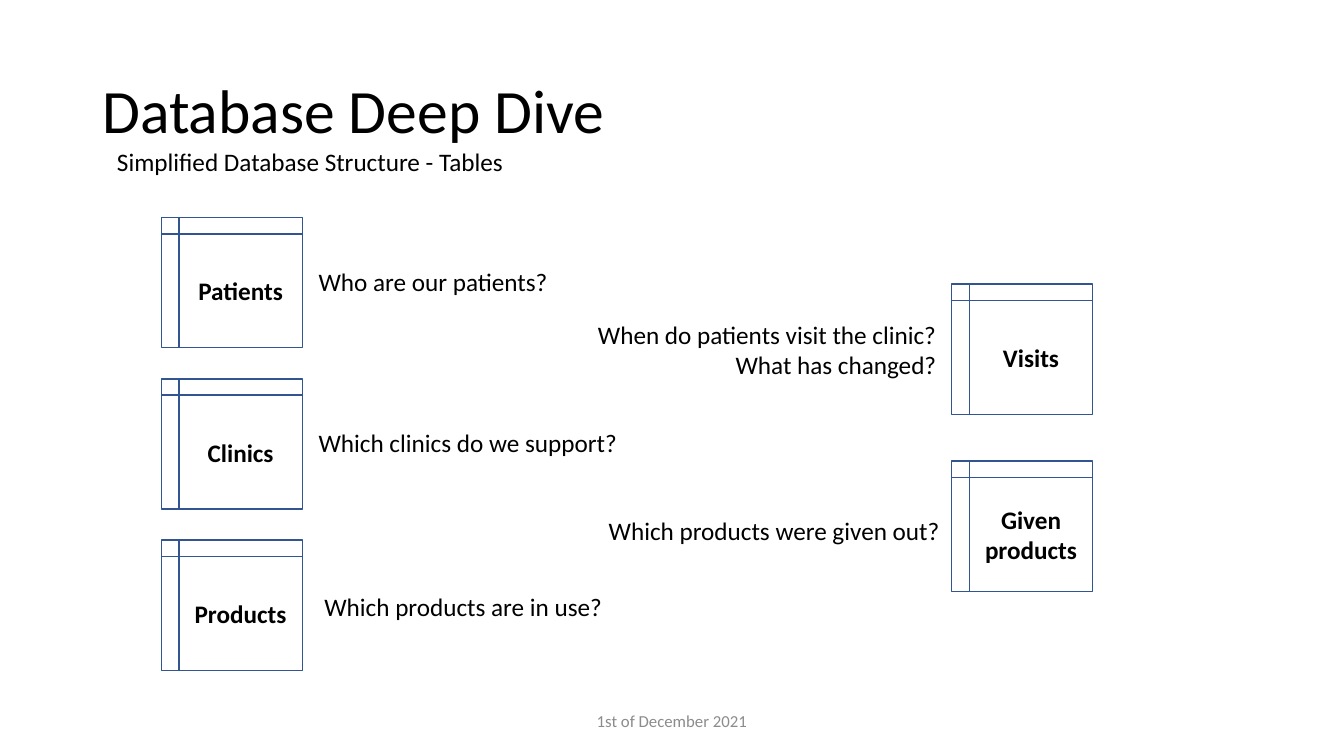
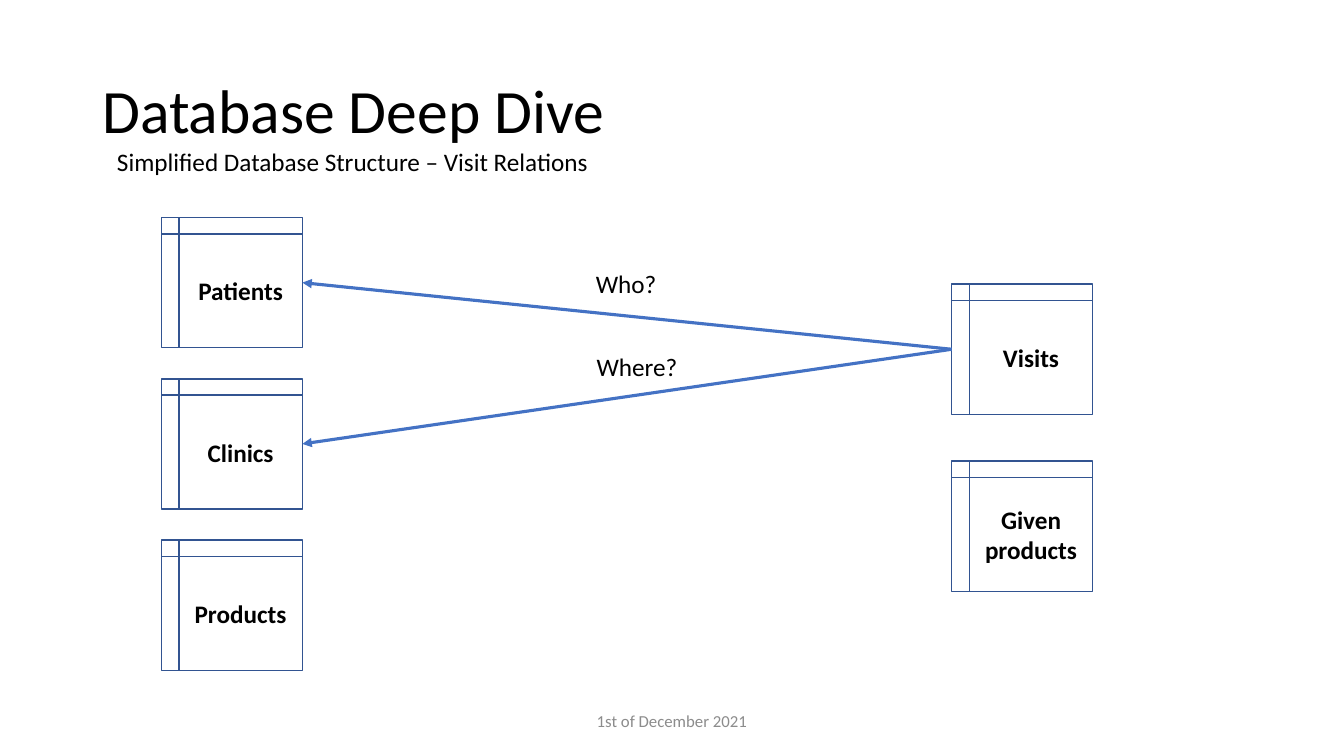
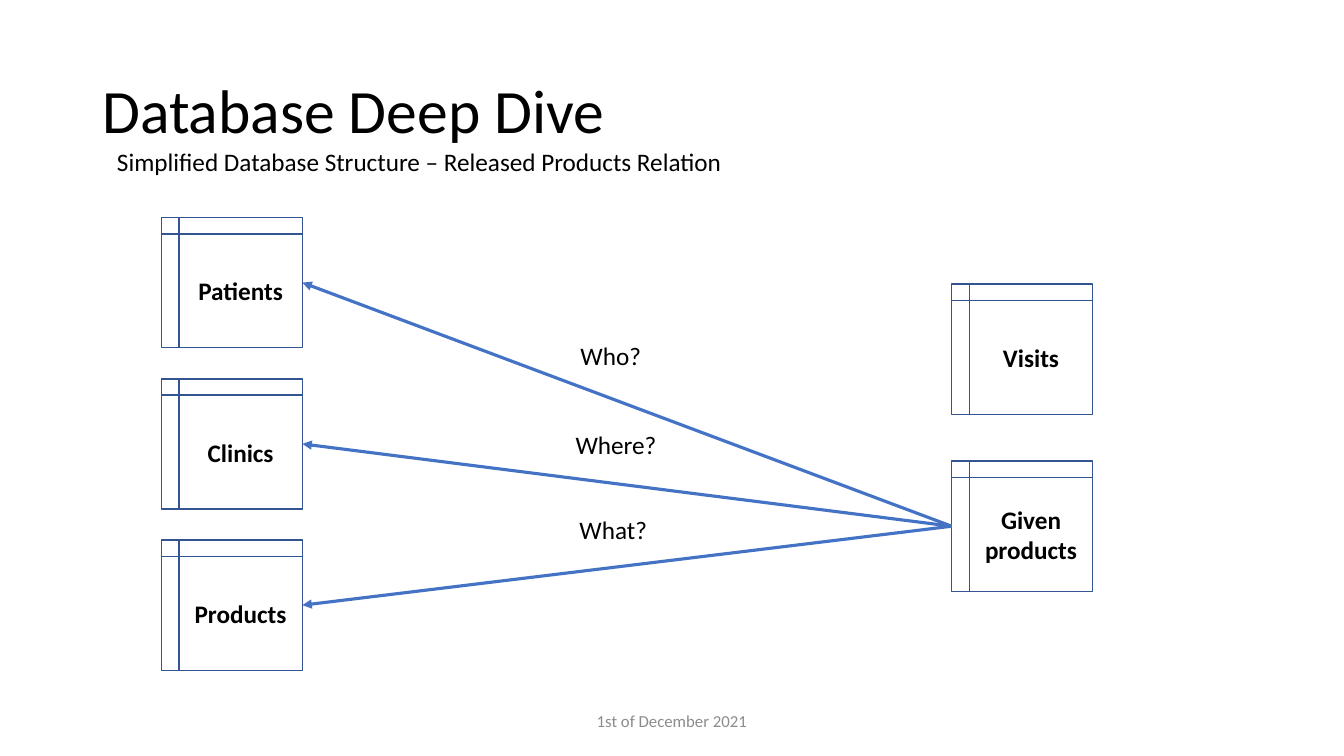
from dataclasses import dataclass

import pptx
import pptx.dml.color
import pptx.enum.shapes
import pptx.enum.text
import pptx.oxml.xmlchemy
import pptx.util

Pt = pptx.util.Pt
Align = pptx.enum.text.PP_ALIGN
Anchor = pptx.enum.text.MSO_ANCHOR


@dataclass(frozen=True)
class Theme:
    font: str = "Calibri"
    ink: str = "000000"
    muted: str = "8C8C8C"
    paper: str = "FFFFFF"
    outline: str = "325491"
    arrow: str = "4472C4"
    title_size: float = 44
    body_size: float = 18
    footer_size: float = 12
    outline_width: float = 1
    arrow_width: float = 2.25


THEME = Theme()

# Shared grid, in points
TABLE_WIDTH, TABLE_HEIGHT = 100.8, 93
LEFT_COLUMN, RIGHT_COLUMN = 115.2, 679.8
LEFT_TOP, LEFT_STEP = 155.4, 115.2
RIGHT_TOP, RIGHT_STEP = 203, 126.4
LINE_HEIGHT = 29
LEFT_SITE, RIGHT_SITE = 1, 3

LEFT_TABLES = ["Patients", "Clinics", "Products"]
RIGHT_TABLES = ["Visits", "Given products"]


def color(value):
    return pptx.dml.color.RGBColor.from_string(value)


# Text
def write(paragraph, text, size=THEME.body_size, ink=THEME.ink, bold=False,
          align=Align.LEFT):
    paragraph.alignment = align
    run = paragraph.add_run()
    run.text = text
    run.font.name = THEME.font
    run.font.size = Pt(size)
    run.font.bold = bold
    run.font.color.rgb = color(ink)


def add_area(slide, left, top, width, height):
    """Add a wrapping, vertically centred text box; return its paragraph."""
    box = slide.shapes.add_textbox(Pt(left), Pt(top), Pt(width), Pt(height))
    box.text_frame.word_wrap = True
    box.text_frame.vertical_anchor = Anchor.MIDDLE
    return box.text_frame.paragraphs[0]


def add_label(slide, text, left, top, width):
    """Add a label that fits its text; lines after the first align right."""
    lines = text.split("\n")
    height = LINE_HEIGHT + 22 * (len(lines) - 1)
    box = slide.shapes.add_textbox(Pt(left), Pt(top), Pt(width), Pt(height))
    frame = box.text_frame
    frame.word_wrap = False
    frame.auto_size = pptx.enum.text.MSO_AUTO_SIZE.SHAPE_TO_FIT_TEXT
    write(frame.paragraphs[0], lines[0])
    for line in lines[1:]:
        write(frame.add_paragraph(), line, align=Align.RIGHT)


# Diagram parts
def add_database_table(slide, name, left, top):
    shape = slide.shapes.add_shape(
        pptx.enum.shapes.MSO_SHAPE.FLOWCHART_INTERNAL_STORAGE,
        Pt(left), Pt(top), Pt(TABLE_WIDTH), Pt(TABLE_HEIGHT))
    shape.shadow.inherit = False
    shape.fill.solid()
    shape.fill.fore_color.rgb = color(THEME.paper)
    shape.line.color.rgb = color(THEME.outline)
    shape.line.width = Pt(THEME.outline_width)
    shape.text_frame.word_wrap = True
    shape.text_frame.vertical_anchor = Anchor.MIDDLE
    write(shape.text_frame.paragraphs[0], name, bold=True, align=Align.CENTER)
    return shape


def add_relation(slide, source, target):
    connector = slide.shapes.add_connector(
        pptx.enum.shapes.MSO_CONNECTOR.STRAIGHT, 0, 0, 0, 0)
    connector.begin_connect(source, LEFT_SITE)
    connector.end_connect(target, RIGHT_SITE)
    connector.line.color.rgb = color(THEME.arrow)
    connector.line.width = Pt(THEME.arrow_width)
    # Arrowhead and no shadow
    new_element = pptx.oxml.xmlchemy.OxmlElement
    line = connector.line._get_or_add_ln()
    tail = new_element("a:tailEnd")
    tail.set("type", "triangle")
    line.append(tail)
    line.addnext(new_element("a:effectLst"))


# Frame shared by all slides
def add_structure_slide(presentation, subtitle, subtitle_width):
    """Add title, footer, subtitle and tables; return the tables by name."""
    slide = presentation.slides.add_slide(presentation.slide_layouts[6])
    title = add_area(slide, 66, 28.8, 828, 104.4)
    title.line_spacing = 0.9
    write(title, "Database Deep Dive", THEME.title_size)
    write(add_area(slide, 318, 500.5, 324, 28.8), "1st of December 2021",
          THEME.footer_size, THEME.muted, align=Align.CENTER)
    add_label(slide, "Simplified Database Structure " + subtitle,
              76.5, 100.8, subtitle_width)
    tables = {}
    for names, left, top, step in (
            (LEFT_TABLES, LEFT_COLUMN, LEFT_TOP, LEFT_STEP),
            (RIGHT_TABLES, RIGHT_COLUMN, RIGHT_TOP, RIGHT_STEP)):
        for row, name in enumerate(names):
            tables[name] = add_database_table(slide, name, left, top + row * step)
    return slide, tables


def add_questions_slide(presentation, subtitle, subtitle_width, questions):
    slide, _ = add_structure_slide(presentation, subtitle, subtitle_width)
    for question in questions:
        add_label(slide, *question)


def add_relations_slide(presentation, subtitle, subtitle_width, source, relations):
    slide, tables = add_structure_slide(presentation, subtitle, subtitle_width)
    for target, *label in relations:
        add_relation(slide, tables[source], tables[target])
        add_label(slide, *label)


def main():
    presentation = pptx.Presentation()
    presentation.slide_width = Pt(960)
    presentation.slide_height = Pt(540)

    # Labels: text, left, top, width
    add_questions_slide(presentation, "- Tables", 294, [
        ("Who are our patients?", 220.5, 186.5, 180),
        ("Which clinics do we support?", 220.5, 301.7, 230.4),
        ("When do patients visit the clinic?\nWhat has changed?", 420, 224.6, 259),
        ("Which products are in use?", 224.6, 418.5, 215),
        ("Which products were given out?", 427.7, 364.5, 254),
    ])
    add_relations_slide(presentation, "– Visit Relations", 355, "Visits", [
        ("Patients", "Who?", 418.5, 188, 58.3),
        ("Clinics", "Where?", 419, 247.7, 72.7),
    ])
    add_relations_slide(
        presentation, "– Released Products Relation", 451.5, "Given products", [
            ("Patients", "Who?", 407.5, 239.5, 58.3),
            ("Clinics", "Where?", 404, 303, 72.7),
            ("Products", "What?", 406.8, 363.8, 63.4),
        ])
    presentation.save("out.pptx")


main()
